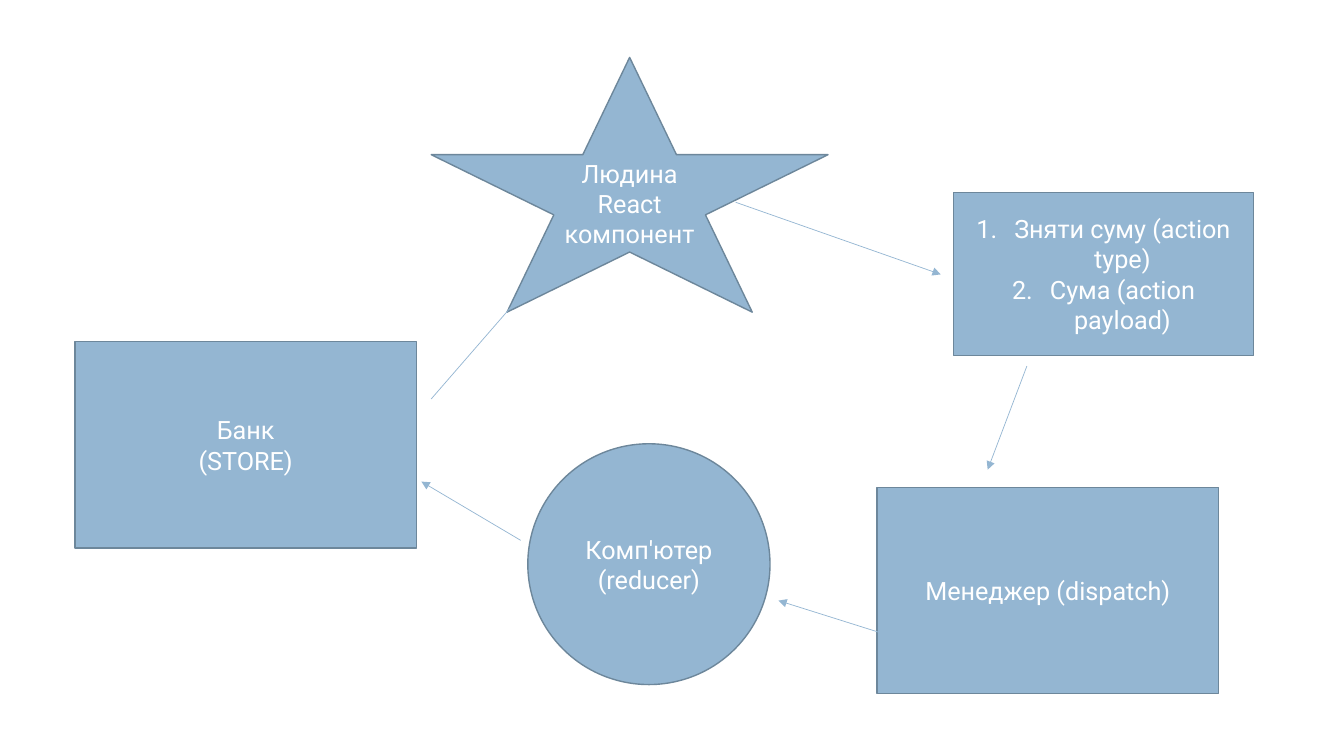
from dataclasses import dataclass

from lxml.etree import SubElement
from pptx import Presentation
from pptx.dml.color import RGBColor
from pptx.enum.shapes import MSO_CONNECTOR as Connector, MSO_SHAPE as Shape
from pptx.enum.text import MSO_ANCHOR as Anchor, PP_ALIGN as Align
from pptx.oxml.ns import qn
from pptx.util import Pt


@dataclass(frozen=True)
class Theme:
    fill: RGBColor = RGBColor(0x94, 0xB6, 0xD2)
    outline: RGBColor = RGBColor(0x6D, 0x87, 0x9B)
    text: RGBColor = RGBColor(0xFF, 0xFF, 0xFF)
    font: str = "Roboto"
    size: float = 18
    outline_width: float = 1
    arrow_width: float = 0.5
    list_indent: float = 27


def write_text(frame, lines, *, font, size, color, numbered=False, indent=0):
    """Fill the frame with one centred paragraph per line, numbered on request."""
    frame.word_wrap = True
    frame.vertical_anchor = Anchor.MIDDLE
    for index, line in enumerate(lines):
        paragraph = frame.add_paragraph() if index else frame.paragraphs[0]
        paragraph.alignment = Align.CENTER
        run = paragraph.add_run()
        run.text = line
        run.font.name = font
        run.font.size = Pt(size)
        run.font.color.rgb = color
        if numbered:
            properties = paragraph._p.get_or_add_pPr()
            properties.set("marL", str(Pt(indent)))
            properties.set("indent", str(-Pt(indent)))
            SubElement(properties, qn("a:buFont"), typeface="+mj-lt")
            SubElement(properties, qn("a:buAutoNum"), type="arabicPeriod")


class Diagram:
    def __init__(self, slide, theme):
        self.slide = slide
        self.theme = theme

    def node(self, kind, left, top, width, height, lines, numbered=False):
        theme = self.theme
        node = self.slide.shapes.add_shape(
            kind, Pt(left), Pt(top), Pt(width), Pt(height))
        node.shadow.inherit = False
        node.fill.solid()
        node.fill.fore_color.rgb = theme.fill
        node.line.color.rgb = theme.outline
        node.line.width = Pt(theme.outline_width)
        write_text(node.text_frame, lines, font=theme.font, size=theme.size,
                   color=theme.text, numbered=numbered, indent=theme.list_indent)

    def arrow(self, start, end):
        arrow = self.slide.shapes.add_connector(
            Connector.STRAIGHT, *(Pt(value) for value in (*start, *end)))
        arrow.line.color.rgb = self.theme.fill
        arrow.line.width = Pt(self.theme.arrow_width)
        SubElement(arrow.line._get_or_add_ln(), qn("a:tailEnd"), type="triangle")
        SubElement(arrow._element.spPr, qn("a:effectLst"))


def main():
    deck = Presentation()
    deck.slide_width, deck.slide_height = Pt(960), Pt(540)
    diagram = Diagram(deck.slides.add_slide(deck.slide_layouts[6]), Theme())

    large_box = (244, 147.5)
    diagram.node(Shape.STAR_5_POINT, 308, 41, 283.5, 182,
                 ["Людина", "React компонент"])
    diagram.node(Shape.RECTANGLE, 53.5, 244, *large_box, ["Банк", "(STORE)"])
    diagram.node(Shape.RECTANGLE, 681, 137.5, 214.5, 116.5,
                 ["Зняти суму (action type)", "Сума (action payload)"],
                 numbered=True)
    diagram.node(Shape.RECTANGLE, 626.5, 348, *large_box, ["Менеджер (dispatch)"])
    diagram.node(Shape.OVAL, 377, 317, 173, 172, ["Комп'ютер (reducer)"])

    person_to_action = (525.5, 144.5), (672, 196)
    action_to_manager = (733.5, 261.5), (705.5, 335.5)
    manager_to_computer = (629, 452), (556, 429)
    computer_to_bank = (372, 386), (301, 344)
    bank_to_person = (308, 285), (377.5, 205)
    for start, end in (person_to_action, action_to_manager, manager_to_computer,
                       computer_to_bank, bank_to_person):
        diagram.arrow(start, end)

    deck.save("out.pptx")


if __name__ == "__main__":
    main()
